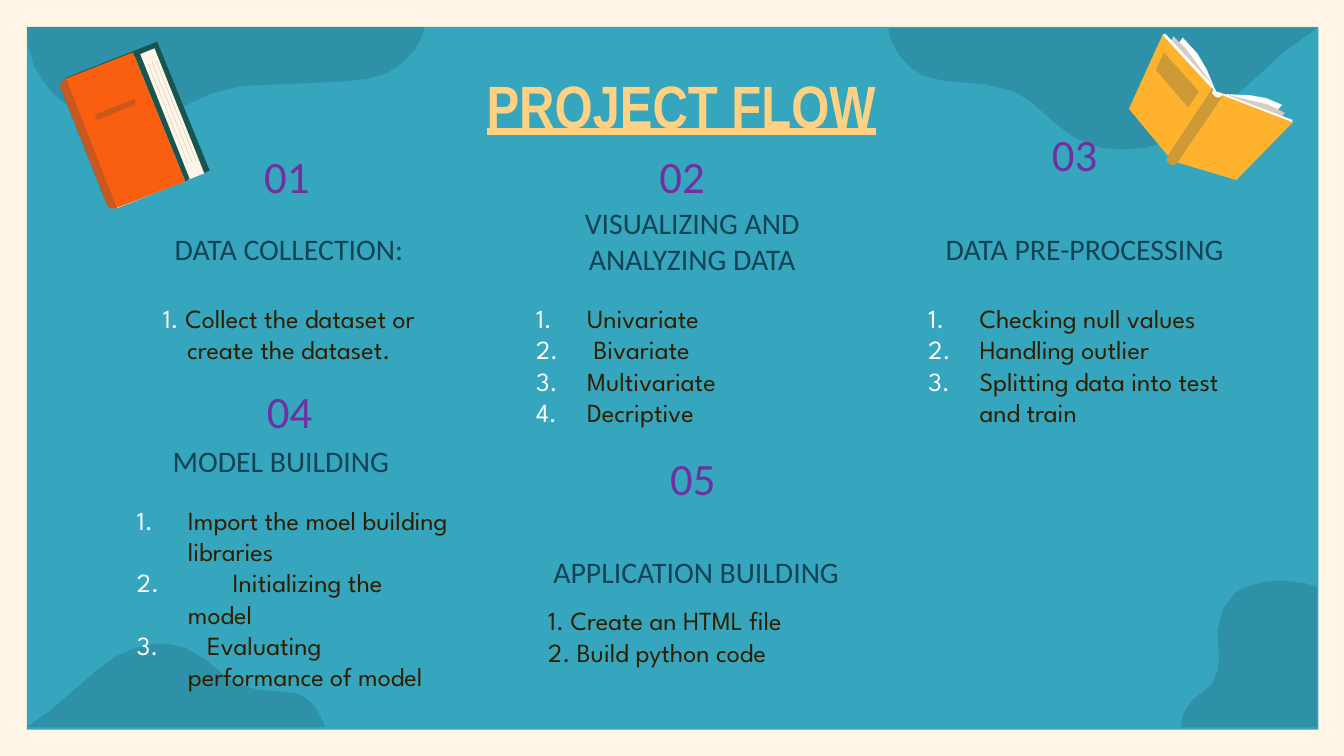
from lxml.etree import SubElement
from pptx import Presentation
from pptx.dml.color import RGBColor
from pptx.enum.shapes import MSO_CONNECTOR, MSO_SHAPE
from pptx.enum.text import MSO_ANCHOR as ANCHOR, PP_ALIGN as ALIGN
from pptx.oxml.ns import qn
from pptx.util import Inches, Pt

CREAM = RGBColor(0xFF, 0xF6, 0xE7)
TEAL = RGBColor(0x35, 0xA6, 0xBE)
NAVY = RGBColor(0x14, 0x43, 0x56)
GOLD = RGBColor(0xFF, 0xD1, 0x82)
BROWN = RGBColor(0x31, 0x1E, 0x00)
PURPLE = RGBColor(0x70, 0x30, 0xA0)
GREEN = RGBColor(0x19, 0x55, 0x4F)
ORANGE = RGBColor(0xFA, 0x5E, 0x10)
YELLOW = RGBColor(0xFF, 0xB2, 0x2E)
STONE = RGBColor(0xD8, 0xCB, 0xBF)
WHITE = RGBColor(0xFF, 0xFF, 0xFF)
SHADE_ALPHA = 21
COLUMN_W = 2.52

BLOBS = [
    [(8.41, 1.11), (8.52, 1.1), (8.63, 1.07), (8.83, 0.98), (9.02, 0.85), (9.2, 0.71),
     (9.55, 0.39), (9.8, 0.21), (6.61, 0.21), (6.62, 0.28), (6.69, 0.41), (6.77, 0.5),
     (6.86, 0.56), (7.01, 0.6), (7.34, 0.63), (7.54, 0.68), (7.66, 0.75), (7.88, 0.94),
     (7.99, 1.02), (8.1, 1.07), (8.2, 1.1), (8.31, 1.11)],
    [(3.16, 0.2), (3.14, 0.27), (3.08, 0.38), (2.98, 0.48), (2.87, 0.55), (2.72, 0.59),
     (2.49, 0.61), (2.02, 0.63), (1.79, 0.64), (1.56, 0.7), (1.24, 0.85), (1.07, 0.91),
     (0.94, 0.92), (0.81, 0.91), (0.62, 0.85), (0.5, 0.78), (0.4, 0.7), (0.31, 0.59),
     (0.25, 0.48), (0.21, 0.34), (0.2, 0.2)],
    [(1.17, 4.79), (1.01, 4.82), (0.87, 4.88), (0.74, 4.97), (0.37, 5.29), (0.2, 5.41),
     (2.42, 5.41), (2.38, 5.32), (2.33, 5.24), (2.27, 5.19), (2.21, 5.16), (2.14, 5.15),
     (1.91, 5.13), (1.77, 5.09), (1.69, 5.04), (1.53, 4.91), (1.38, 4.82), (1.24, 4.79)],
    [(9.8, 5.41), (8.79, 5.41), (8.8, 5.32), (8.87, 5.21), (9.01, 5.1), (9.06, 4.99),
     (9.07, 4.91), (9.06, 4.69), (9.1, 4.53), (9.19, 4.41), (9.26, 4.37), (9.4, 4.33),
     (9.55, 4.32), (9.71, 4.34), (9.8, 4.37)],
]
YELLOW_SPINE = [(9.02, 0.66), (9.02, 0.7), (9.04, 0.72), (9.07, 0.73), (9.1, 0.71), (8.76, 1.21),
                (8.74, 1.23), (8.72, 1.23), (8.69, 1.21), (8.68, 1.19), (8.69, 1.16)]
# Each part: points, colour, alpha in percent
CLOSED_BOOK = [
    ([(1.17, 0.31), (1.56, 1.27), (0.87, 1.55), (0.49, 0.58)], GREEN, 100),
    ([(1.15, 0.36), (1.52, 1.29), (0.87, 1.55), (0.51, 0.62)], CREAM, 100),
    ([(0.99, 0.39), (1.38, 1.35), (0.86, 1.55), (0.82, 1.55), (0.8, 1.53), (0.45, 0.65),
      (0.45, 0.62), (0.48, 0.59)], ORANGE, 100),
    ([(1.03, 0.37), (1.41, 1.33), (1.38, 1.35), (0.99, 0.39)], GREEN, 100),
    ([(0.49, 0.58), (0.87, 1.55), (0.82, 1.55), (0.79, 1.52), (0.45, 0.66), (0.45, 0.62),
      (0.47, 0.59)], NAVY, SHADE_ALPHA),
    ([(1, 0.74), (1.01, 0.76), (1, 0.78), (0.73, 0.89), (0.71, 0.88), (0.71, 0.86),
      (0.72, 0.85), (0.99, 0.74)], NAVY, SHADE_ALPHA),
]
OPEN_BOOK = [
    ([(9.11, 0.7), (9.31, 0.71), (9.42, 0.73), (9.54, 0.78), (9.49, 0.84)], WHITE, 100),
    ([(9.11, 0.7), (9.44, 0.78), (9.56, 0.84), (9.32, 1.14), (9.03, 0.81)], STONE, 100),
    ([(9.03, 0.64), (9.05, 0.68), (9.11, 0.7), (9.04, 0.76), (9.01, 0.73)], CREAM, 100),
    ([(8.8, 0.28), (8.91, 0.4), (8.98, 0.52), (9.03, 0.64), (8.75, 0.35)], WHITE, 100),
    ([(8.73, 0.27), (8.83, 0.37), (9.03, 0.64), (8.96, 0.76), (8.55, 0.62)], STONE, 100),
    (YELLOW_SPINE, YELLOW, 100),
    ([(8.65, 0.26), (9.02, 0.66), (8.69, 1.16), (8.4, 0.81)], YELLOW, 100),
    ([(9.1, 0.71), (9.62, 0.91), (9.2, 1.34), (8.76, 1.21)], YELLOW, 100),
    ([(8.65, 0.26), (8.67, 0.25), (9.03, 0.64), (9.02, 0.66)], WHITE, 100),
    ([(9.11, 0.7), (9.61, 0.89), (9.62, 0.91), (9.1, 0.71)], WHITE, 100),
    ([(8.66, 0.39), (8.92, 0.68), (8.84, 0.8), (8.6, 0.52)], NAVY, SHADE_ALPHA),
    (YELLOW_SPINE, NAVY, SHADE_ALPHA),
]
# Number and its place, heading and its place
STEPS = [
    ("01", 1.56, 1.06, "DATA COLLECTION:", 0.89, 1.65),
    ("02", 4.5, 1.06, "VISUALIZING AND ANALYZING DATA", 3.89, 1.73),
    ("03", 7.42, 0.9, "DATA PRE-PROCESSING", 6.81, 1.65),
    ("04", 1.58, 2.81, "MODEL BUILDING", 0.83, 3.23),
    ("05", 4.58, 3.31, "APPLICATION BUILDING", 3.92, 4.06),
]


def set_alpha(shape, percent):
    for color in shape.element.iter(qn("a:srgbClr")):
        SubElement(color, qn("a:alpha"), val=str(percent * 1000))


def paint(sp, color, alpha=100):
    sp.shadow.inherit = False
    sp.fill.solid()
    sp.fill.fore_color.rgb = color
    sp.line.fill.background()
    if alpha < 100:
        set_alpha(sp, alpha)


def add_outline(shapes, points, color, alpha):
    start, *rest = [(Inches(x), Inches(y)) for x, y in points]
    builder = shapes.build_freeform(*start)
    builder.add_line_segments(rest, close=True)
    paint(builder.convert_to_shape(), color, alpha)


def add_book(slide, parts):
    shapes = slide.shapes.add_group_shape().shapes
    for part in parts:
        add_outline(shapes, *part)
    return shapes


def add_page_lines(shapes):
    for i in range(3):
        dx, dy = 0.03 * i, -0.01 * i
        ends = map(Inches, (1.1 + dx, 0.47 + dy, 1.4 + dx, 1.22 + dy))
        line = shapes.add_connector(MSO_CONNECTOR.STRAIGHT, *ends)
        line.line.color.rgb = NAVY
        line.line.width = Pt(0.25)
        set_alpha(line, SHADE_ALPHA)
        SubElement(line.element.spPr, qn("a:effectLst"))


def style_run(r, font, size, color):
    r.font.name, r.font.size, r.font.color.rgb = font, Pt(size), color


def fill_text(sp, text, font, size, color, align=ALIGN.CENTER, anchor=ANCHOR.TOP):
    tf = sp.text_frame
    tf.text = text
    tf.word_wrap = True
    tf.vertical_anchor = anchor
    tf.margin_left = tf.margin_right = tf.margin_top = tf.margin_bottom = Inches(0.1)
    for p in tf.paragraphs:
        p.alignment = align
        style_run(p.runs[0], font, size, color)
    return tf


def add_text(slide, box, *args, **kwargs):
    return fill_text(slide.shapes.add_textbox(*map(Inches, box)), *args, **kwargs)


def add_list(slide, left, top, items, numbered=True, align=ALIGN.LEFT):
    """Add hanging paragraphs, with white automatic numbers if numbered."""
    tf = add_text(slide, (left, top, COLUMN_W, 0.53), "\n".join(items),
                  "League Spartan", 14, BROWN, align)
    for p in tf.paragraphs:
        pPr = p._p.get_or_add_pPr()
        pPr.set("marL", str(Inches(0.38)))
        pPr.set("indent", str(-Inches(0.38)))
        if numbered:
            SubElement(SubElement(pPr, qn("a:buClr")), qn("a:srgbClr"), val=str(WHITE))
            SubElement(pPr, qn("a:buAutoNum"), type="arabicPeriod")
    return tf


def indent_first_line(p, points):
    """Push the first line in with one tracked-out space."""
    space = p.add_run()
    space.text = " "
    style_run(space, "League Spartan", 14, BROWN)
    space.font._element.set("spc", str(round(points * 100)))
    p.runs[0]._r.addprevious(space._r)


def add_title(slide):
    title = slide.shapes.title
    title.left, title.top, title.width, title.height = map(Inches, (0.85, 0.41, 8.44, 0.63))
    tf = fill_text(title, "PROJECT FLOW", "Arial Narrow", 32, GOLD)
    font = tf.paragraphs[0].runs[0].font
    font.bold = font.underline = True
    title.element.getparent().append(title.element)  # in front of the backdrop


def add_backdrop(slide):
    slide.background.fill.solid()
    slide.background.fill.fore_color.rgb = CREAM
    panel = slide.shapes.add_shape(MSO_SHAPE.RECTANGLE, *map(Inches, (0.2, 0.2, 9.61, 5.23)))
    paint(panel, TEAL)
    for points in BLOBS:
        add_outline(slide.shapes, points, NAVY, SHADE_ALPHA)


def add_details(slide):
    model = add_list(slide, 0.92, 3.65, ["Import the moel building libraries",
                                         "Initializing the model", "Evaluating performance of model"])
    indent_first_line(model.paragraphs[1], 20.5)
    indent_first_line(model.paragraphs[2], 6.8)
    collect = add_text(slide, (0.89, 2.15, COLUMN_W, 0.53), "1. ", "League Spartan", 14, CREAM)
    r = collect.paragraphs[0].add_run()
    r.text = "Collect the dataset or create the dataset."
    style_run(r, "League Spartan", 14, BROWN)
    add_list(slide, 3.89, 2.15, ["Univariate", " Bivariate", "Multivariate", "Decriptive"],
             align=ALIGN.JUSTIFY)
    add_list(slide, 3.98, 4.4, ["1. Create an HTML file", "2. Build python code"], numbered=False)
    add_list(slide, 6.81, 2.15, ["Checking null values", "Handling outlier",
                                 "Splitting data into test and train"])


def main():
    prs = Presentation()
    prs.slide_width, prs.slide_height = Inches(10), Inches(5.625)
    slide = prs.slides.add_slide(prs.slide_layouts[5])
    add_backdrop(slide)
    add_title(slide)
    add_details(slide)
    for number, nx, ny, heading, hx, hy in STEPS:
        add_text(slide, (nx, ny, 1.15, 0.49), number, "Calibri", 24, PURPLE, anchor=ANCHOR.MIDDLE)
        add_text(slide, (hx, hy, COLUMN_W, 0.43), heading, "Calibri", 16, NAVY, anchor=ANCHOR.BOTTOM)
    add_page_lines(add_book(slide, CLOSED_BOOK))
    add_book(slide, OPEN_BOOK)
    prs.save("out.pptx")


if __name__ == "__main__":
    main()
